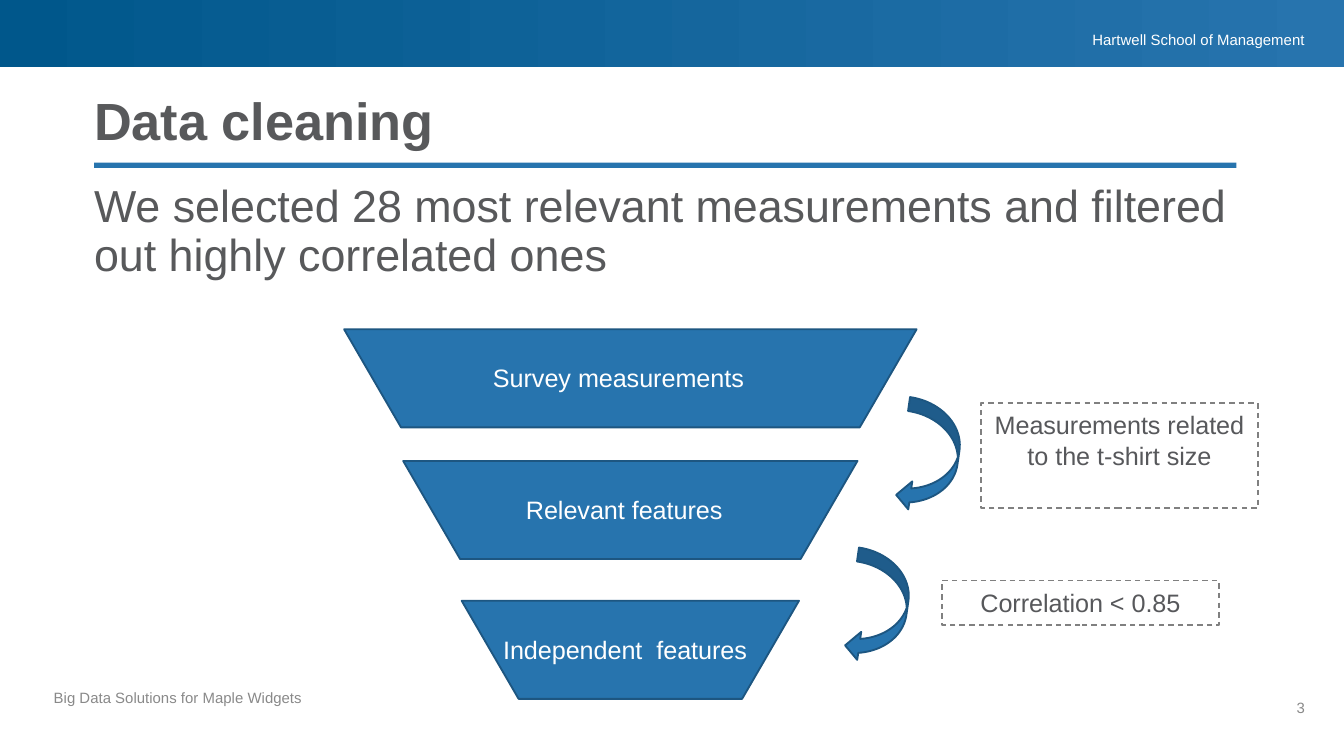
from pptx import Presentation
from pptx.dml.color import RGBColor
from pptx.enum.dml import MSO_LINE
from pptx.enum.shapes import MSO_SHAPE
from pptx.enum.text import MSO_ANCHOR, PP_ALIGN
from pptx.util import Emu, Pt

RECTANGLE = MSO_SHAPE.RECTANGLE
TRAPEZOID = MSO_SHAPE.TRAPEZOID
CURVED_ARROW = MSO_SHAPE.CURVED_LEFT_ARROW
DASH = MSO_LINE.DASH
TOP, BOTTOM = MSO_ANCHOR.TOP, MSO_ANCHOR.BOTTOM
LEFT, CENTER, RIGHT = PP_ALIGN.LEFT, PP_ALIGN.CENTER, PP_ALIGN.RIGHT

BLUE = RGBColor(0x27, 0x74, 0xAE)
DEEP_BLUE = RGBColor(0x00, 0x57, 0x8B)
EDGE_BLUE = RGBColor(0x1D, 0x56, 0x81)
WHITE = RGBColor(0xFF, 0xFF, 0xFF)
INK = RGBColor(0x58, 0x59, 0x5B)
CALLOUT_INK = RGBColor(0x57, 0x58, 0x5B)
FOOTER_GRAY = RGBColor(0x89, 0x89, 0x89)
BORDER_GRAY = RGBColor(0x80, 0x80, 0x80)

FONT = "Arial"
EMU_PER_PX = 9144
SLIDE_WIDTH = 1000
SLIDE_HEIGHT = SLIDE_WIDTH * 9 / 16

BANNER = (0, 0, SLIDE_WIDTH, 50)
TITLE_RULE = (70, 121, 850, 4)

HEADINGS = [
    ("Hartwell School of Management", (720, 22, 251, 14),
     {"size": 8, "color": WHITE, "align": RIGHT, "insets": (10, 1, 0, 1)}),
    ("Data cleaning", (70, 70, 850, 43),
     {"size": 28, "color": INK, "bold": True, "anchor": BOTTOM, "spacing": 0.9}),
    ("We selected 28 most relevant measurements and filtered out highly correlated ones",
     (70, 136, 850, 73),
     {"size": 24, "color": INK, "anchor": BOTTOM, "spacing": 0.9}),
    ("Big Data Solutions for Maple Widgets", (40, 514, 390, 40),
     {"size": 8, "color": FOOTER_GRAY, "spacing": 0.9}),
    ("3", (921, 520, 50, 40),
     {"size": 8, "color": FOOTER_GRAY, "align": RIGHT}),
]

FUNNEL_CENTER = 469
TIER_HEIGHT = 73
LABEL_HEIGHT = 33
FUNNEL = [
    ("Survey measurements", 245, 426, 224),
    ("Relevant features", 343, 338, 175),
    ("Independent  features", 447, 251, 209),
]
LABEL_FORMAT = {"size": 13.5, "color": WHITE, "insets": (10, 5, 10, 5)}

ARROW_SIZE = (42, 84)
ARROW_TILT = 8.1
CALLOUT_WIDTH = 206
FILTERS = [
    ("Measurements related to the t-shirt size", (671, 298), (730, 300), 78),
    ("Correlation < 0.85", (633, 410), (701, 432), 33),
]
CALLOUT_FORMAT = {"size": 13.5, "color": CALLOUT_INK, "align": CENTER,
                  "insets": (9, 5, 9, 5)}


def px(value):
    return Emu(round(value * EMU_PER_PX))


def write(holder, wording, size, color, bold=False, align=LEFT, anchor=TOP,
          spacing=1.0, insets=(0, 0, 0, 0)):
    frame = holder.text_frame
    margins = dict(zip(("margin_left", "margin_top", "margin_right", "margin_bottom"),
                       map(px, insets)))
    for name, value in {"word_wrap": True, "vertical_anchor": anchor, **margins}.items():
        setattr(frame, name, value)
    paragraph = frame.paragraphs[0]
    paragraph.alignment = align
    paragraph.line_spacing = spacing
    run = paragraph.add_run()
    run.text = wording
    for name, value in {"name": FONT, "size": Pt(size), "bold": bold}.items():
        setattr(run.font, name, value)
    run.font.color.rgb = color


def add_text(slide, wording, box, text_format):
    write(slide.shapes.add_textbox(*map(px, box)), wording, **text_format)


def add_block(slide, preset, box, fill=None, edge=None, edge_width=1, rotation=0):
    block = slide.shapes.add_shape(preset, *map(px, box))
    block.shadow.inherit = False
    block.rotation = rotation
    if fill is None:
        block.fill.background()
    else:
        block.fill.solid()
        block.fill.fore_color.rgb = fill
    if edge is None:
        block.line.fill.background()
    else:
        block.line.color.rgb = edge
        block.line.width = Pt(edge_width)
    return block


def main():
    deck = Presentation()
    deck.slide_width, deck.slide_height = px(SLIDE_WIDTH), px(SLIDE_HEIGHT)
    slide = deck.slides.add_slide(deck.slide_layouts[6])

    add_block(slide, RECTANGLE, TITLE_RULE, BLUE)
    banner = add_block(slide, RECTANGLE, BANNER, BLUE)
    banner.fill.gradient()
    banner.fill.gradient_angle = 0
    for stop, color in zip(banner.fill.gradient_stops, (DEEP_BLUE, BLUE)):
        stop.color.rgb = color

    for wording, box, text_format in HEADINGS:
        add_text(slide, wording, box, text_format)

    for wording, top, width, label_width in FUNNEL:
        tier_box = (FUNNEL_CENTER - width / 2, top, width, TIER_HEIGHT)
        tier = add_block(slide, TRAPEZOID, tier_box, BLUE, EDGE_BLUE, rotation=180)
        tier.adjustments[0] = 0.58
        label_top = top + (TIER_HEIGHT - LABEL_HEIGHT) / 2
        label_box = (FUNNEL_CENTER - label_width / 2, label_top, label_width, LABEL_HEIGHT)
        add_text(slide, wording, label_box, LABEL_FORMAT)

    for wording, arrow_corner, callout_corner, height in FILTERS:
        add_block(slide, CURVED_ARROW, arrow_corner + ARROW_SIZE, BLUE, EDGE_BLUE,
                  rotation=ARROW_TILT)
        callout = add_block(slide, RECTANGLE, callout_corner + (CALLOUT_WIDTH, height),
                            edge=BORDER_GRAY, edge_width=0.75)
        callout.line.dash_style = DASH
        write(callout, wording, **CALLOUT_FORMAT)

    deck.save("out.pptx")


if __name__ == "__main__":
    main()
